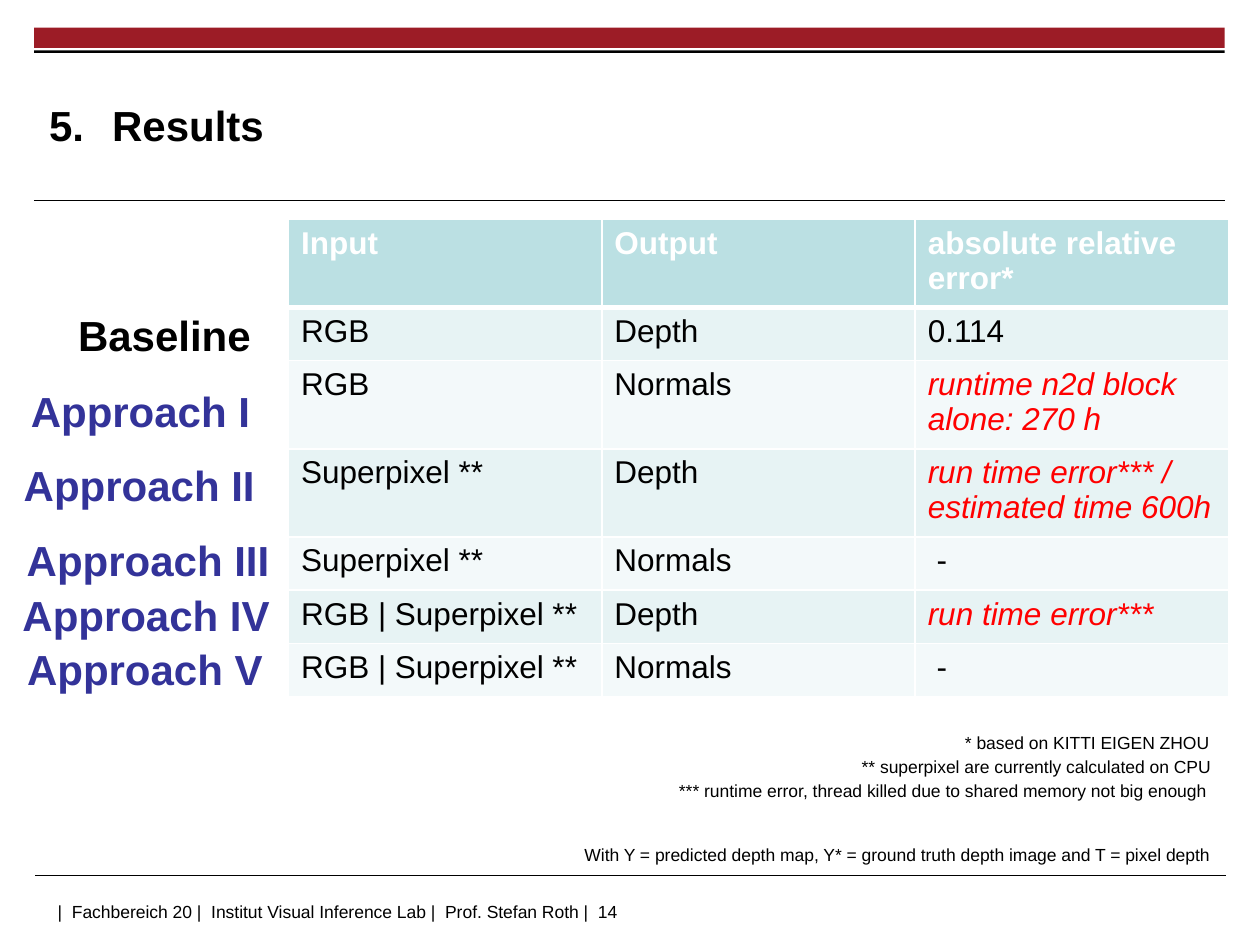
from pptx import Presentation
from pptx.dml.color import RGBColor
from pptx.enum.shapes import MSO_CONNECTOR, MSO_SHAPE
from pptx.enum.text import MSO_ANCHOR, PP_ALIGN
from pptx.oxml.ns import qn
from pptx.util import Inches, Pt
from lxml import etree

BLACK = RGBColor(0, 0, 0)
WHITE = RGBColor(0xFF, 0xFF, 0xFF)
WINE = RGBColor(0x9C, 0x1C, 0x26)
BLUE = RGBColor(0x33, 0x33, 0x99)
RED = RGBColor(0xFF, 0, 0)
HEAD = RGBColor(0xBB, 0xE0, 0xE3)
BANDS = (RGBColor(0xE7, 0xF3, 0xF4), RGBColor(0xF3, 0xF9, 0xFA))
RECT = MSO_SHAPE.RECTANGLE
LINE = MSO_CONNECTOR.STRAIGHT
LEFT, CENTER = PP_ALIGN.LEFT, PP_ALIGN.CENTER
TOP, MIDDLE = MSO_ANCHOR.TOP, MSO_ANCHOR.MIDDLE
FONT = "Arial"


def write(frame, text, size=10, color=BLACK, bold=False, italic=False,
          align=LEFT, start=None):
    """Fill a text frame, one paragraph per line; start numbers the list."""
    for i, line in enumerate(text.split("\n")):
        para = frame.add_paragraph() if i else frame.paragraphs[0]
        para.alignment = align
        if start:
            props = para._p.get_or_add_pPr()
            props.set("marL", str(Inches(0.5)))
            props.set("indent", str(Inches(-0.5)))
            etree.SubElement(props, qn("a:buFont"), typeface="+mj-lt")
            etree.SubElement(props, qn("a:buAutoNum"),
                             type="arabicPeriod", startAt=str(start))
        run = para.add_run()
        run.text = line
        for font in (para.font, run.font):
            font.name, font.size = FONT, Pt(size)
            font.bold, font.italic = bold, italic
            font.color.rgb = color


class Deck:
    def __init__(self):
        self.prs = Presentation()
        self.prs.slide_width, self.prs.slide_height = Inches(10), Inches(7.5)
        self.slide = self.prs.slides.add_slide(self.prs.slide_layouts[6])
        self.shapes = self.slide.shapes

    def bar(self, x, y, w, h, color):
        shape = self.shapes.add_shape(RECT, *map(Inches, (x, y, w, h)))
        shape.shadow.inherit = False
        shape.fill.solid()
        shape.fill.fore_color.rgb = color
        shape.line.fill.background()

    def rule(self, x, y, w):
        line = self.shapes.add_connector(LINE, *map(Inches, (x, y, x + w, y)))
        line.line.color.rgb = BLACK
        line.line.width = Pt(0.6)
        etree.SubElement(line._element.spPr, qn("a:effectLst"))

    def text(self, x, y, w, h, text, inset=None, wrap=True, anchor=TOP, **style):
        frame = self.shapes.add_textbox(*map(Inches, (x, y, w, h))).text_frame
        frame.word_wrap = wrap
        frame.vertical_anchor = anchor
        if inset is not None:
            frame.margin_left = frame.margin_right = Inches(inset)
            frame.margin_top = frame.margin_bottom = Inches(inset)
        write(frame, text, **style)

    def edge(self, cell, bottom):
        props = cell._tc.get_or_add_tcPr()
        widths = {"lnL": 1, "lnR": 1, "lnT": 1, "lnB": bottom}
        for i, (tag, width) in enumerate(widths.items()):
            line = etree.Element(qn("a:" + tag), w=str(Pt(width)))
            fill = etree.SubElement(line, qn("a:solidFill"))
            etree.SubElement(fill, qn("a:srgbClr"), val=str(WHITE))
            props.insert(i, line)

    def table(self, x, y, w, h, rows):
        size = len(rows), len(rows[0])
        grid = self.shapes.add_table(*size, *map(Inches, (x, y, w, h))).table
        for r, row in enumerate(rows):
            for c, text in enumerate(row):
                cell = grid.cell(r, c)
                cell.fill.solid()
                cell.fill.fore_color.rgb = BANDS[(r - 1) % 2] if r else HEAD
                # Failed runs stand out in red italics
                failed = r > 0 and "time" in text
                color = RED if failed else BLACK if r else WHITE
                write(cell.text_frame, text, size=18, color=color,
                      bold=r == 0, italic=failed)
                self.edge(cell, 1 if r else 3)


def main():
    deck = Deck()

    # Frame of the page
    deck.bar(0.27, 0.22, 9.45, 0.16, WINE)
    deck.bar(0.27, 0.4, 9.45, 0.02, BLACK)
    deck.rule(0.27, 1.59, 9.45)
    deck.rule(0.28, 6.95, 9.45)
    deck.text(0.36, 7.1, 7.8, 0.25, "|  Fachbereich 20 |  Institut Visual "
              "Inference Lab |  Prof. Stefan Roth |  14")

    # Title
    deck.text(0.39, 0.53, 7.26, 0.92, "Results", inset=0, anchor=MIDDLE,
              size=24, bold=True, start=5)

    # Results
    deck.table(2.29, 1.74, 7.46, 2.95, [
        ("Input", "Output", "absolute relative error*"),
        ("RGB", "Depth", "0.114"),
        ("RGB", "Normals", "runtime n2d block alone: 270 h"),
        ("Superpixel **", "Depth", "run time error*** /\nestimated time 600h"),
        ("Superpixel **", "Normals", " -"),
        ("RGB | Superpixel **", "Depth", "run time error***"),
        ("RGB | Superpixel **", "Normals", " -"),
    ])

    # Row labels
    labels = [
        (0.46, 2.36, 1.69, "Baseline", BLACK),
        (-0.14, 2.96, 2.51, "Approach I", BLUE),
        (-0.15, 3.55, 2.51, "Approach II", BLUE),
        (-0.05, 4.14, 2.45, "Approach III", BLUE),
        (-0.27, 4.58, 2.86, "Approach IV", BLUE),
        (-0.28, 5.01, 2.86, "Approach V", BLUE),
    ]
    for x, y, w, name, color in labels:
        deck.text(x, y, w, 0.51, name, inset=0.1, size=24, color=color,
                  bold=True, align=CENTER)

    # Footnotes
    notes = [
        (7.56, 5.76, 2.15, "* based on KITTI EIGEN ZHOU"),
        (6.74, 5.95, 2.98, "** superpixel are currently calculated on CPU"),
        (5.29, 6.14, 4.41, "*** runtime error, thread killed due to shared "
                           "memory not big enough"),
        (4.54, 6.65, 5.19, "With Y = predicted depth map, Y* = ground truth "
                           "depth image and T = pixel depth"),
    ]
    for x, y, w, note in notes:
        deck.text(x, y, w, 0.27, note, wrap=False)

    deck.prs.save("out.pptx")


if __name__ == "__main__":
    main()
